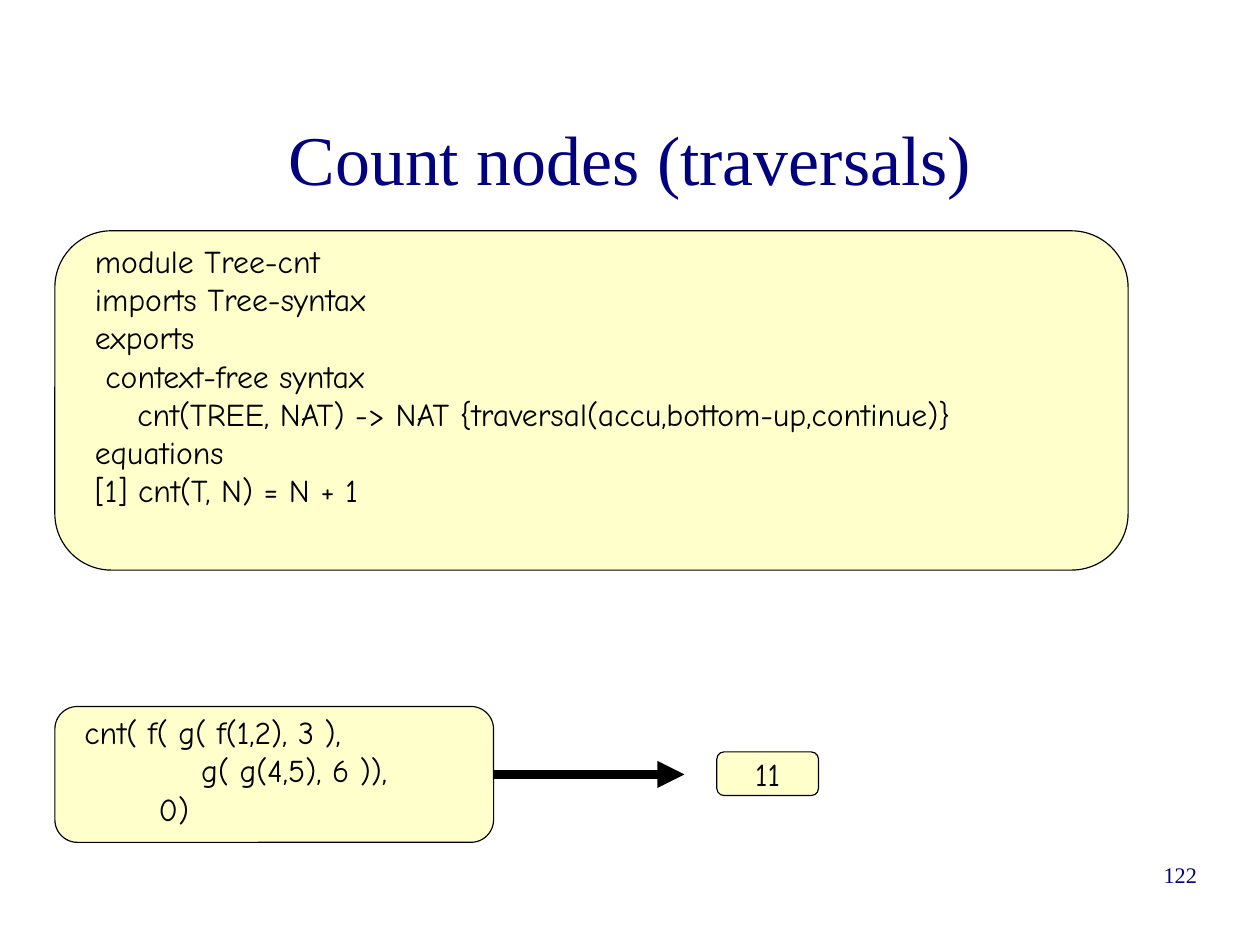
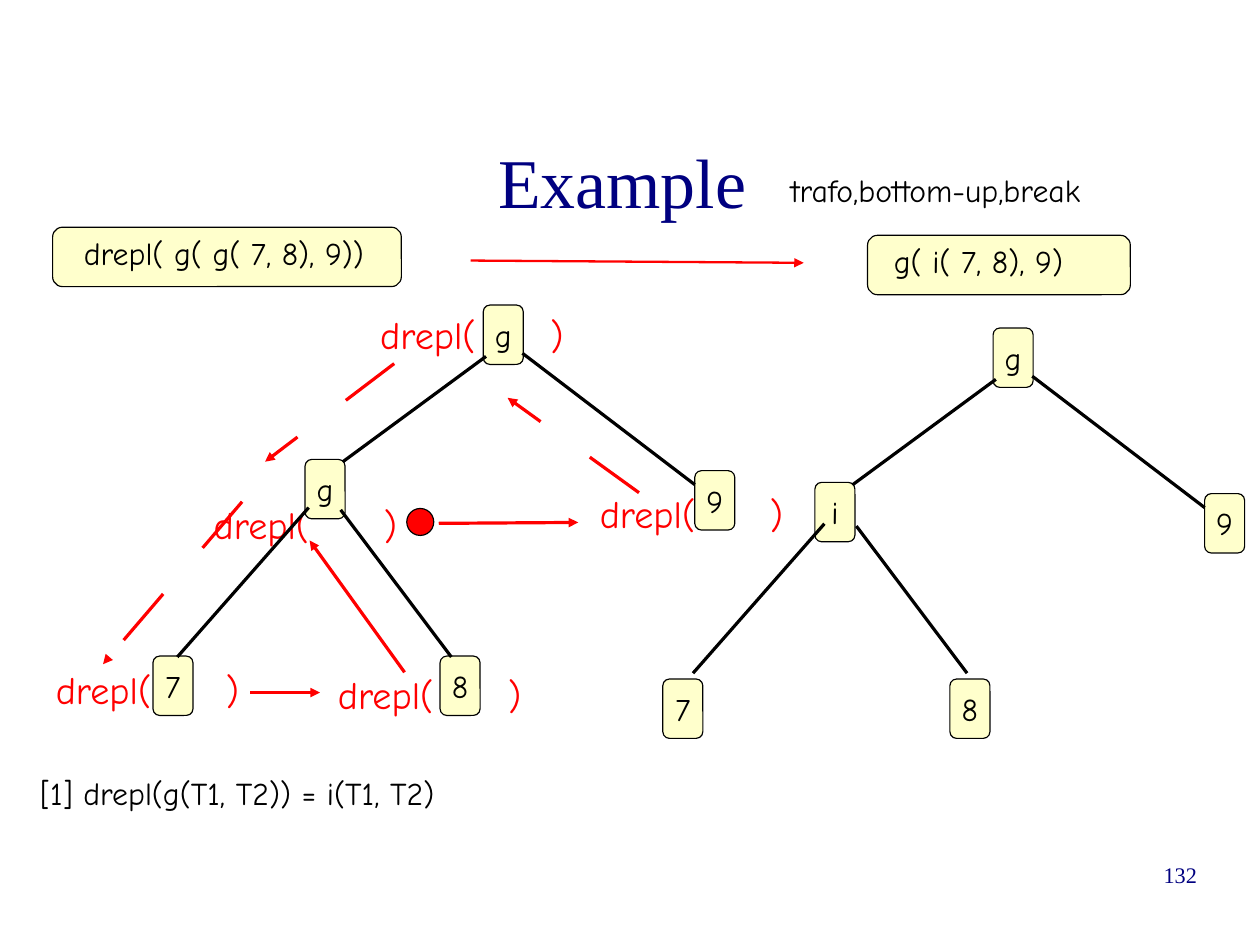
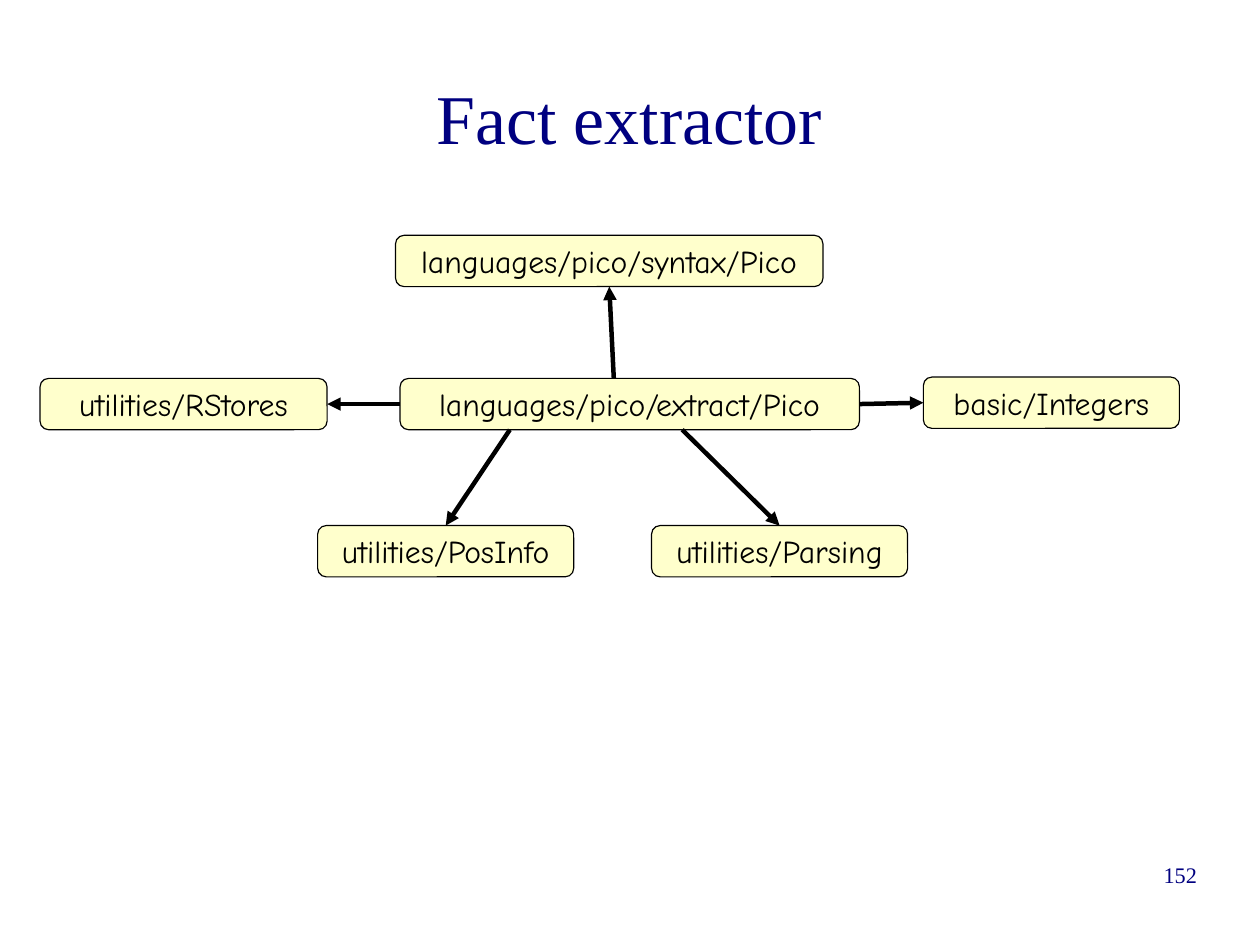
from dataclasses import dataclass

from pptx import Presentation
from pptx.dml.color import RGBColor
from pptx.enum.shapes import MSO_CONNECTOR, MSO_SHAPE
from pptx.enum.text import MSO_ANCHOR, PP_ALIGN
from pptx.oxml.ns import qn
from pptx.util import Cm, Pt
from lxml.etree import SubElement


@dataclass(frozen=True)
class Theme:
    navy: str = "000080"
    ink: str = "000000"
    red: str = "FF0000"
    cream: str = "FFFFCC"
    serif: str = "Times New Roman"
    comic: str = "Comic Neue"
    title: int = 44
    call: int = 24
    body: int = 20
    page: int = 14
    hairline: float = 0


THEME = Theme()
TEXT_INSET = (0.25, 0.13)
CORNER = 0.16667
CORNER_INSET = 0.29289  # share of the corner radius that text keeps clear

# Content: lengths in centimetres, boxes as left, top, width, height
PAGE_BOX = (20.07, 19.13, 6.53, 1.45)
TITLE_SIZE = (23.9, 3.5)

MODULE_BOX = (1.22, 5.13, 23.85, 7.54)
MODULE_CODE = [
    "module Tree-cnt",
    "imports Tree-syntax",
    "exports",
    " context-free syntax",
    "    cnt(TREE, NAT) -> NAT {traversal(accu,bottom-up,continue)}",
    "equations",
    "[1] cnt(T, N) = N + 1",
]
COUNT_BOX = (1.22, 15.7, 9.75, 3.02)
COUNT_CODE = [
    "cnt( f( g( f(1,2), 3 ),",
    "           g( g(4,5), 6 )),",
    "       0)",
]
COUNT_RESULT_BOX = (15.93, 16.71, 2.26, 0.97)

NODE_SIZE = (0.89, 1.32)
NODE_PLACES = [(10.74, 6.78), (6.78, 10.21), (3.4, 14.58), (9.78, 14.58), (15.44, 10.46)]
INPUT_TREE = "gg789"
OUTPUT_TREE = "gi789"
UPPER_BRANCHES = [((10.8, 7.92), (7.62, 10.26)), ((11.61, 7.85), (15.44, 10.77))]
LOWER_BRANCHES = [((6.86, 11.28), (3.94, 14.6)), ((7.57, 11.33), (10.03, 14.6))]
# Letters, then how far nodes, upper branches and lower branches move
TREES = [
    (INPUT_TREE, (0, 0), (0, 0), (0, 0)),
    (OUTPUT_TREE, (11.33, 0.51), (11.33, 0.51), (11.46, 0.36)),
]
CALL_PLACES = [(8.2, 6.78), (13.08, 10.77), (0.99, 14.68), (7.26, 14.78), (4.5, 11.02)]
CALL_SIZE = (4.83, 1.42)
CALL_TAB = 3.78
# Start, end, dashed
TRAVERSAL_STEPS = [
    ((8.76, 8.08), (5.89, 10.26), True),
    ((5.38, 11.15), (2.29, 14.76), True),
    ((5.56, 15.39), (7.11, 15.39), False),
    ((8.99, 14.94), (6.88, 12.01), False),
    ((9.75, 11.63), (12.85, 11.61), False),
    ((14.2, 10.95), (11.28, 8.84), True),
]

MODULE_HEIGHT = 1.14
MODULES = {
    "languages/pico/syntax/Pico": (8.79, 5.23, 9.5),
    "languages/pico/extract/Pico": (8.89, 8.41, 10.21),
    "utilities/RStores": (0.89, 8.41, 6.38),
    "basic/Integers": (20.52, 8.38, 5.69),
    "utilities/PosInfo": (7.06, 11.68, 5.69),
    "utilities/Parsing": (14.48, 11.68, 5.69),
}
IMPORTER = "languages/pico/extract/Pico"
# Imported module, start (a point or a side of the importer), side it enters
IMPORTS = [
    ("languages/pico/syntax/Pico", (13.64, 8.41), 2),
    ("utilities/RStores", 1, 3),
    ("basic/Integers", 3, 1),
    ("utilities/PosInfo", (11.33, 9.55), 0),
    ("utilities/Parsing", (15.16, 9.55), 0),
]


# Shared helpers
def cm(values):
    return [Cm(value) for value in values]


def color(value):
    return RGBColor.from_string(value)


def moved(point, shift):
    return tuple(a + b for a, b in zip(point, shift))


def write(shape, lines, size=THEME.body, ink=THEME.ink, font=THEME.comic,
          align=PP_ALIGN.LEFT, anchor=MSO_ANCHOR.TOP, insets=TEXT_INSET):
    frame = shape.text_frame
    frame.word_wrap = True
    frame.vertical_anchor = anchor
    frame.margin_left = frame.margin_right = Cm(insets[0])
    frame.margin_top = frame.margin_bottom = Cm(insets[1])
    frame.text = "\n".join(lines)
    for paragraph in frame.paragraphs:
        paragraph.alignment = align
        for run in paragraph.runs:
            run.font.size = Pt(size)
            run.font.name = font
            run.font.color.rgb = color(ink)


def add_text(slide, box, text, **style):
    shape = slide.shapes.add_textbox(*cm(box))
    write(shape, [text], **style)
    return shape


def add_filled(slide, kind, box, fill):
    shape = slide.shapes.add_shape(kind, *cm(box))
    shape.shadow.inherit = False
    shape.fill.solid()
    shape.fill.fore_color.rgb = color(fill)
    shape.line.color.rgb = color(THEME.ink)
    shape.line.width = Pt(THEME.hairline)
    return shape


def add_label_box(slide, box, text):
    """Cream box with one centred label."""
    shape = add_filled(slide, MSO_SHAPE.ROUNDED_RECTANGLE, box, THEME.cream)
    write(shape, [text], align=PP_ALIGN.CENTER, anchor=MSO_ANCHOR.MIDDLE, insets=(0, 0))
    return shape


def add_code_box(slide, box, lines, offset):
    """Cream box whose code starts at the offset from its top left corner."""
    shape = add_filled(slide, MSO_SHAPE.ROUNDED_RECTANGLE, box, THEME.cream)
    clear = min(box[2:]) * CORNER * CORNER_INSET
    write(shape, lines, insets=[round(value - clear, 2) for value in offset])
    return shape


def add_line(slide, start, end, ink=THEME.ink, width=THEME.hairline, arrow=False, dashed=False):
    """Each end is a point, or a (shape, side) pair to join."""
    joins = [isinstance(place[1], int) and hasattr(place[0], "shape_id") for place in (start, end)]
    points = [(0, 0) if joined else place for place, joined in zip((start, end), joins)]
    line = slide.shapes.add_connector(MSO_CONNECTOR.STRAIGHT, *cm(points[0] + points[1]))
    if joins[0]:
        line.begin_connect(*start)
    if joins[1]:
        line.end_connect(*end)
    line.line.color.rgb = color(ink)
    line.line.width = Pt(width)
    outline = line.line._get_or_add_ln()
    if dashed:
        dashes = SubElement(outline, qn("a:custDash"))
        SubElement(dashes, qn("a:ds"), d="1900000", sp="1900000")
    if arrow:
        SubElement(outline, qn("a:tailEnd"), type="triangle")
    SubElement(line._element.spPr, qn("a:effectLst"))
    return line


def add_call(slide, place):
    """Red call whose closing bracket sits on a tab stop beyond the node."""
    shape = add_text(slide, place + CALL_SIZE, "drepl(\t)", size=THEME.call, ink=THEME.red)
    properties = shape.text_frame.paragraphs[0]._p.get_or_add_pPr()
    tabs = SubElement(properties, qn("a:tabLst"))
    SubElement(tabs, qn("a:tab"), pos=str(Cm(CALL_TAB)), algn="l")


def add_slide(presentation, title, title_place, page):
    slide = presentation.slides.add_slide(presentation.slide_layouts[6])
    add_text(slide, title_place + TITLE_SIZE, title, size=THEME.title, ink=THEME.navy,
             font=THEME.serif, align=PP_ALIGN.CENTER, anchor=MSO_ANCHOR.MIDDLE, insets=(0, 0))
    add_text(slide, PAGE_BOX, page, size=THEME.page, ink=THEME.navy, font=THEME.serif,
             align=PP_ALIGN.RIGHT, insets=(0, 0))
    return slide


# Slides
def build_count_nodes(presentation):
    slide = add_slide(presentation, "Count nodes (traversals)", (2.06, 1.75), "122")
    add_code_box(slide, MODULE_BOX, MODULE_CODE, (0.89, 0.25))
    count = add_code_box(slide, COUNT_BOX, COUNT_CODE, (0.66, 0.15))
    add_label_box(slide, COUNT_RESULT_BOX, "11")
    add_line(slide, (count, 3), (15.21, 17.21), width=5.67, arrow=True)


def build_example(presentation):
    slide = add_slide(presentation, "Example", (1.88, 2.26), "132")
    add_text(slide, (17.32, 3.66, 9.98, 1.27), "trafo,bottom-up,break")
    add_text(slide, (0.64, 17.07, 11.2, 1.24), "[1] drepl(g(T1, T2)) = i(T1, T2)")

    # Term before and after
    add_code_box(slide, (1.17, 5.05, 7.75, 1.32), ["drepl( g( g( 7, 8), 9))"], (0.69, 0.15))
    add_code_box(slide, (19.28, 5.23, 5.84, 1.32), ["g( i( 7, 8), 9)"], (0.58, 0.13))
    add_line(slide, (10.46, 5.79), (17.86, 5.84), THEME.red, 1.45, arrow=True)

    # Traversal
    for place in CALL_PLACES:
        add_call(slide, place)
    for start, end, dashed in TRAVERSAL_STEPS:
        add_line(slide, start, end, THEME.red, arrow=True, dashed=dashed)
    add_filled(slide, MSO_SHAPE.OVAL, (9.04, 11.3, 0.6, 0.6), THEME.red)

    # Trees
    for letters, node_shift, upper_shift, lower_shift in TREES:
        for letter, place in zip(letters, NODE_PLACES):
            add_label_box(slide, moved(place, node_shift) + NODE_SIZE, letter)
        for branches, shift in ((UPPER_BRANCHES, upper_shift), (LOWER_BRANCHES, lower_shift)):
            for start, end in branches:
                add_line(slide, moved(start, shift), moved(end, shift))


def build_fact_extractor(presentation):
    slide = add_slide(presentation, "Fact extractor", (2.04, 0.84), "152")
    boxes = {name: add_label_box(slide, place + (MODULE_HEIGHT,), name)
             for name, place in MODULES.items()}
    for name, start, side in IMPORTS:
        if isinstance(start, int):
            start = (boxes[IMPORTER], start)
        add_line(slide, start, (boxes[name], side), width=2.83, arrow=True)


def main():
    presentation = Presentation()
    presentation.slide_width, presentation.slide_height = Cm(28), Cm(21)
    build_count_nodes(presentation)
    build_example(presentation)
    build_fact_extractor(presentation)
    presentation.save("out.pptx")


if __name__ == "__main__":
    main()
